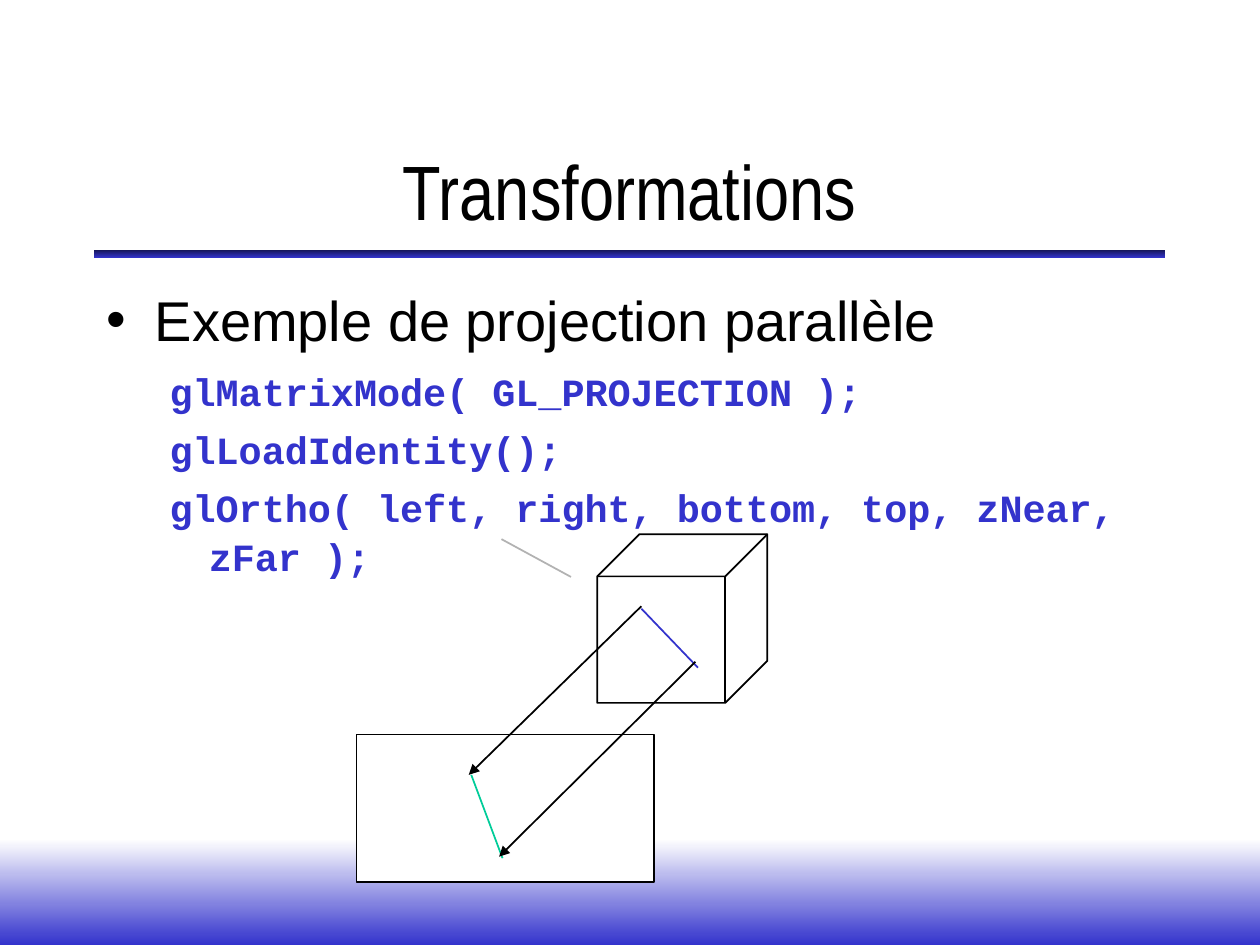
import pptx
import pptx.dml.color
import pptx.enum.shapes
import pptx.enum.text
import pptx.oxml
import pptx.oxml.ns
import pptx.util

Cm = pptx.util.Cm
Pt = pptx.util.Pt
SHAPE = pptx.enum.shapes.MSO_SHAPE
ALIGN = pptx.enum.text.PP_ALIGN
ANCHOR = pptx.enum.text.MSO_ANCHOR


def rgb(value):
    return pptx.dml.color.RGBColor.from_string(value)


def add_element(parent, tag, **attributes):
    element = pptx.oxml.parse_xml(f"<a:{tag} {pptx.oxml.ns.nsdecls('a')}/>")
    for name, value in attributes.items():
        element.set(name, value)
    parent.append(element)


def write(p, text, font="Arial", size=32, color="000000", bold=False, align=ALIGN.LEFT,
          before=0, spacing=1.0, margin=0, indent=0, bullet=None):
    pPr = p._p.get_or_add_pPr()
    if bullet:
        add_element(pPr, "buFont", typeface="Arial")
        add_element(pPr, "buChar", char=bullet)
    else:
        add_element(pPr, "buNone")
    pPr.set("marL", str(Cm(margin)))
    pPr.set("indent", str(Cm(indent)))
    p.alignment = align
    p.space_before = Pt(before)
    p.line_spacing = spacing
    r = p.add_run()
    r.text = text
    r.font.name = font
    r.font.size = Pt(size)
    r.font.bold = bold
    r.font.color.rgb = rgb(color)


class SlideBuilder:
    black = "000000"
    white = "FFFFFF"
    blue = "3333CC"
    navy = "17175E"
    green = "00CC99"
    gray = "B2B2B2"
    line_width = 1

    def __init__(self, prs):
        self.s = prs.slides.add_slide(prs.slide_layouts[6])

    def shape(self, kind, box):
        sp = self.s.shapes.add_shape(kind, *map(Cm, box))
        sp.shadow.inherit = False
        return sp

    def gradient(self, box, top, bottom):
        sp = self.shape(SHAPE.RECTANGLE, box)
        sp.line.fill.background()
        sp.fill.gradient()
        sp.fill.gradient_angle = 270
        for stop, color in zip(sp.fill.gradient_stops, (top, bottom)):
            stop.color.rgb = rgb(color)

    def outline(self, kind, box, fill=None):
        sp = self.shape(kind, box)
        if fill:
            sp.fill.solid()
            sp.fill.fore_color.rgb = rgb(fill)
        else:
            sp.fill.background()
        sp.line.color.rgb = rgb(self.black)
        sp.line.width = Pt(self.line_width)

    def line(self, start, end, color, arrow=False):
        straight = pptx.enum.shapes.MSO_CONNECTOR.STRAIGHT
        sp = self.s.shapes.add_connector(straight, *map(Cm, start + end))
        sp.line.color.rgb = rgb(color)
        sp.line.width = Pt(self.line_width)
        if arrow:
            add_element(sp.line._get_or_add_ln(), "tailEnd", type="triangle")
        add_element(sp._element.spPr, "effectLst")

    def text(self, box, paragraphs, anchor=ANCHOR.TOP):
        tf = self.s.shapes.add_textbox(*map(Cm, box)).text_frame
        tf.word_wrap = True
        tf.vertical_anchor = anchor
        for i, (text, style) in enumerate(paragraphs):
            p = tf.add_paragraph() if i else tf.paragraphs[0]
            write(p, text, **style)


def main():
    prs = pptx.Presentation()
    prs.slide_width, prs.slide_height = Cm(25.4), Cm(19.05)
    b = SlideBuilder(prs)

    b.gradient((0, 16.92, 25.4, 2.13), b.white, b.blue)
    b.gradient((1.9, 5.05, 21.59, 0.15), b.navy, b.blue)

    title = dict(font="Arial Narrow", size=44, align=ALIGN.CENTER)
    b.text((1.9, 1.7, 21.59, 3.18), [("Transformations", title)], ANCHOR.BOTTOM)

    item = dict(margin=0.97, indent=-0.97, bullet="•", spacing=1.05)
    code = dict(font="Courier New", size=22, color=b.blue, bold=True, before=5.5,
                margin=2.06, indent=-0.79, spacing=1.05)
    b.text((1.9, 5.56, 21.59, 11.43), [
        ("Exemple de projection parallèle", item),
        ("glMatrixMode( GL_PROJECTION );", {**code, "before": 7.5}),
        ("glLoadIdentity();", code),
        ("glOrtho( left, right, bottom, top, zNear, zFar );", code),
    ])

    b.outline(SHAPE.CUBE, (12.04, 10.77, 3.43, 3.4))
    b.outline(SHAPE.RECTANGLE, (7.19, 14.81, 5.99, 2.97), b.white)
    b.line((12.93, 12.27), (14.07, 13.46), b.blue)
    b.line((9.5, 15.62), (10.13, 17.3), b.green)
    b.line((14.02, 13.34), (10.06, 17.27), b.black, arrow=True)
    b.line((12.93, 12.22), (9.45, 15.62), b.black, arrow=True)
    b.line((10.11, 10.87), (11.51, 11.63), b.gray)

    prs.save("out.pptx")


if __name__ == "__main__":
    main()
